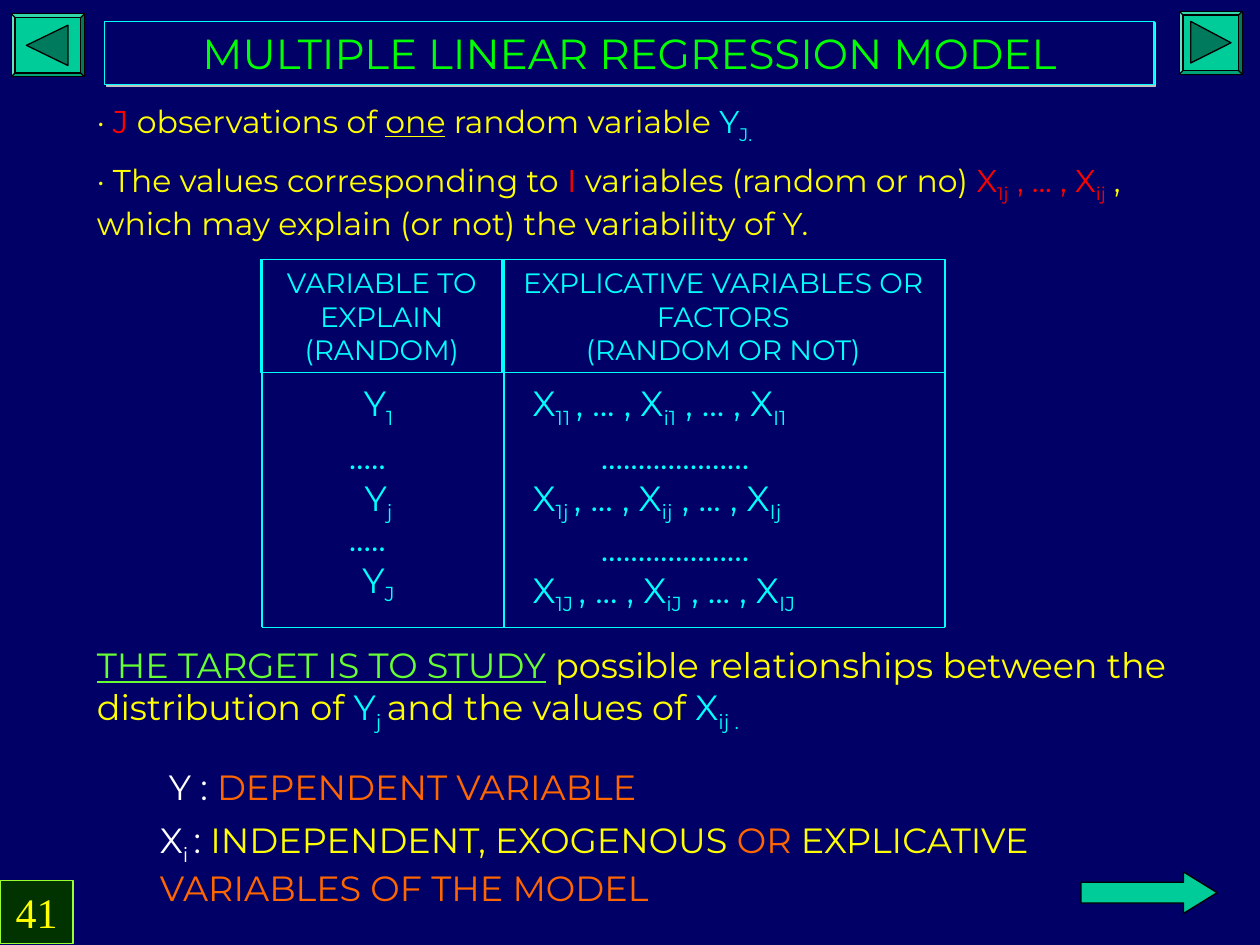
import pptx
import pptx.dml.color
import pptx.enum.shapes
import pptx.enum.text
import pptx.oxml
import pptx.oxml.ns
import pptx.util

Inches = pptx.util.Inches
Pt = pptx.util.Pt
SHAPE = pptx.enum.shapes.MSO_SHAPE
ALIGN = pptx.enum.text.PP_ALIGN
ANCHOR = pptx.enum.text.MSO_ANCHOR
FIT = pptx.enum.text.MSO_AUTO_SIZE

NAVY, CYAN, YELLOW, RED = "000066", "00FFFF", "FFFF00", "FF0000"
ORANGE, WHITE, BLACK, TEAL = "FF6600", "FFFFFF", "000000", "00CC99"


def rgb(value):
    return pptx.dml.color.RGBColor.from_string(value)


def apply(target, values):
    for name, value in values.items():
        setattr(target, name, value)


class SlideBuilder:
    font = "Montserrat"
    line_width = Pt(0.75)
    frame_format = {
        "word_wrap": True,
        "margin_left": Inches(0.1), "margin_right": Inches(0.1),
        "margin_top": Inches(0.05), "margin_bottom": Inches(0.05),
    }

    def __init__(self, slide):
        self.slide = slide

    def background(self, color):
        fill = self.slide.background.fill
        fill.solid()
        fill.fore_color.rgb = rgb(color)

    def paint(self, shape, fill, line):
        if fill:
            shape.fill.solid()
            shape.fill.fore_color.rgb = rgb(fill)
        else:
            shape.fill.background()
        shape.line.color.rgb = rgb(line)
        shape.line.width = self.line_width
        shape.shadow.inherit = False

    def set_text(self, shape, paragraphs, size, align=ALIGN.LEFT, before=0,
                 anchor=ANCHOR.TOP, fit=FIT.SHAPE_TO_FIT_TEXT, font=None):
        """Each paragraph is a list of (text, colour[, "sub" or "line"])."""
        frame = shape.text_frame
        apply(frame, {**self.frame_format, "vertical_anchor": anchor, "auto_size": fit})
        for index, pieces in enumerate(paragraphs):
            paragraph = frame.add_paragraph() if index else frame.paragraphs[0]
            apply(paragraph, {"alignment": align, "space_before": Pt(before)})
            for text, color, *style in pieces:
                run = paragraph.add_run()
                run.text = text
                apply(run.font, {"name": font or self.font, "size": Pt(size), "bold": False})
                run.font.color.rgb = rgb(color)
                if "line" in style:
                    run.font.underline = True
                if "sub" in style:
                    run._r.get_or_add_rPr().set("baseline", "-25000")

    def text(self, box, pieces, size=20, align=ALIGN.LEFT, before=12.5):
        shape = self.slide.shapes.add_textbox(*map(Inches, box))
        self.set_text(shape, [pieces], size, align, before)

    def shape(self, kind, box, fill, line, adjustments=()):
        shape = self.slide.shapes.add_shape(kind, *map(Inches, box))
        for index, value in enumerate(adjustments):
            shape.adjustments[index] = value
        self.paint(shape, fill, line)
        return shape

    def line(self, start, end, color):
        rule = self.slide.shapes.add_connector(
            pptx.enum.shapes.MSO_CONNECTOR.STRAIGHT, *map(Inches, start + end))
        rule.line.color.rgb = rgb(color)
        rule.line.width = self.line_width
        rule._element.spPr.append(pptx.oxml.parse_xml(
            "<a:effectLst %s/>" % pptx.oxml.ns.nsdecls("a")))

    def nav_button(self, box, triangle):
        self.shape(SHAPE.BEVEL, box, TEAL, BLACK, [0.06])
        first, *rest = [tuple(map(Inches, point)) for point in triangle]
        outline = self.slide.shapes.build_freeform(*first)
        outline.add_line_segments(rest, close=True)
        self.paint(outline.convert_to_shape(), "007A5C", BLACK)

    def title(self, box, text):
        title = self.slide.shapes.title
        apply(title, dict(zip(("left", "top", "width", "height"), map(Inches, box))))
        self.paint(title, NAVY, CYAN)
        self.set_text(title, [[(text, "00FF00")]], 24, ALIGN.CENTER,
                      anchor=ANCHOR.MIDDLE, fit=FIT.NONE)
        effects = title._element.spPr.find(pptx.oxml.ns.qn("a:effectLst"))
        effects.append(pptx.oxml.parse_xml(
            '<a:outerShdw %s dist="17780" dir="2700000" algn="ctr" rotWithShape="0">'
            '<a:srgbClr val="C0C0C0"/></a:outerShdw>' % pptx.oxml.ns.nsdecls("a")))


def main():
    deck = pptx.Presentation()
    deck.slide_width, deck.slide_height = Inches(10), Inches(7.5)
    page = SlideBuilder(deck.slides.add_slide(deck.slide_layouts[5]))
    page.background(NAVY)

    # Title and navigation
    page.title((0.83, 0.17, 8.33, 0.5), "MULTIPLE LINEAR REGRESSION MODEL")
    page.nav_button((9.36, 0.09, 0.5, 0.5), [(9.45, 0.17), (9.77, 0.34), (9.45, 0.5)])
    page.nav_button((0.09, 0.11, 0.58, 0.5), [(0.21, 0.36), (0.54, 0.2), (0.54, 0.52)])
    page.shape(SHAPE.RIGHT_ARROW, (8.58, 6.92, 1.08, 0.33), TEAL, BLACK, [0.5, 0.81])

    # Observations
    page.text((0.67, 0.76, 8.83, 0.44), [
        ("· ", YELLOW), ("J", RED), (" observations of ", YELLOW),
        ("one", YELLOW, "line"), (" random variable ", YELLOW),
        ("Y", CYAN), ("J.", CYAN, "sub")], 18, ALIGN.JUSTIFY, 11.2)
    page.text((0.67, 1.23, 8.92, 0.74), [
        ("· The values corresponding to ", YELLOW), ("I", RED),
        (" variables (random or no) ", YELLOW), ("X", RED), ("1j", RED, "sub"),
        (" , ... , X", RED), ("ij", RED, "sub"),
        (" , which may explain (or not) the variability of Y.", YELLOW)], 18, before=11.2)

    # Variable grid: headings and rules
    left, middle, right, top, bottom = 2.08, 4, 7.5, 2.06, 4.98
    headings = [
        ((2.07, top, 1.92, 0.9), ["VARIABLE TO EXPLAIN (RANDOM)"], 10),
        ((3.98, top, 3.52, 0.9), ["EXPLICATIVE VARIABLES OR FACTORS", "(RANDOM OR NOT)"], 0),
    ]
    for box, lines, before in headings:
        heading = page.shape(SHAPE.RECTANGLE, box, None, CYAN)
        page.set_text(heading, [[(line, CYAN)] for line in lines], 16, ALIGN.CENTER, before)
    for x in (left, middle, right):
        page.line((x, top), (x, bottom), CYAN)
    page.line((left, bottom), (right, bottom), CYAN)

    # Variable grid: one observation per row, dots above all but the first
    observations = [
        (2.98, 2.98, "1", ("11 ", "i1", "I1")),
        (3.73, 3.73, "j", ("1j ", "ij", "Ij")),
        (4.38, 4.46, "J", ("1J ", "iJ", "IJ")),
    ]
    for row, (y_top, x_top, index, subscripts) in enumerate(observations):
        page.text((2.42, y_top, 1.17, 0.48), [("Y", CYAN), (index, CYAN, "sub")],
                  align=ALIGN.CENTER)
        factors = []
        for base, subscript in zip(("X", ", ... , X", " , ... , X"), subscripts):
            factors += [(base, CYAN), (subscript, CYAN, "sub")]
        page.text((4.13, x_top, 3.53, 0.48), factors)
        if row:
            page.text((2.67, y_top - 0.33, 0.67, 0.44), [("." * 5, CYAN)])
            page.text((4.67, x_top - 0.33, 2.08, 0.44), [("." * 20, CYAN)])

    # Target and definitions
    page.text((0.67, 5.06, 9, 0.82), [
        ("THE TARGET IS TO STUDY", "66FF33", "line"),
        (" possible relationships between the distribution of ", YELLOW),
        ("Y", CYAN), ("j ", CYAN, "sub"), ("and the values of ", YELLOW),
        ("X", CYAN), ("ij .", CYAN, "sub")])
    page.text((1.17, 6.03, 5.17, 0.44), [
        (" Y :", WHITE), (" DEPENDENT VARIABLE", ORANGE)], align=ALIGN.JUSTIFY)
    page.text((1.17, 6.45, 8.09, 0.82), [
        ("X", WHITE), ("i ", WHITE, "sub"), (":", WHITE),
        (" INDEPENDENT, EXOGENOUS ", YELLOW), ("OR", ORANGE),
        (" EXPLICATIVE ", YELLOW), ("VARIABLES OF THE MODEL", ORANGE)])

    # Page number
    number = page.shape(SHAPE.RECTANGLE, (0, 6.99, 0.58, 0.5), "003300", "99FF33")
    page.set_text(number, [[("41", YELLOW)]], 24, ALIGN.CENTER, 15, font="Times New Roman")

    deck.save("out.pptx")


if __name__ == "__main__":
    main()
